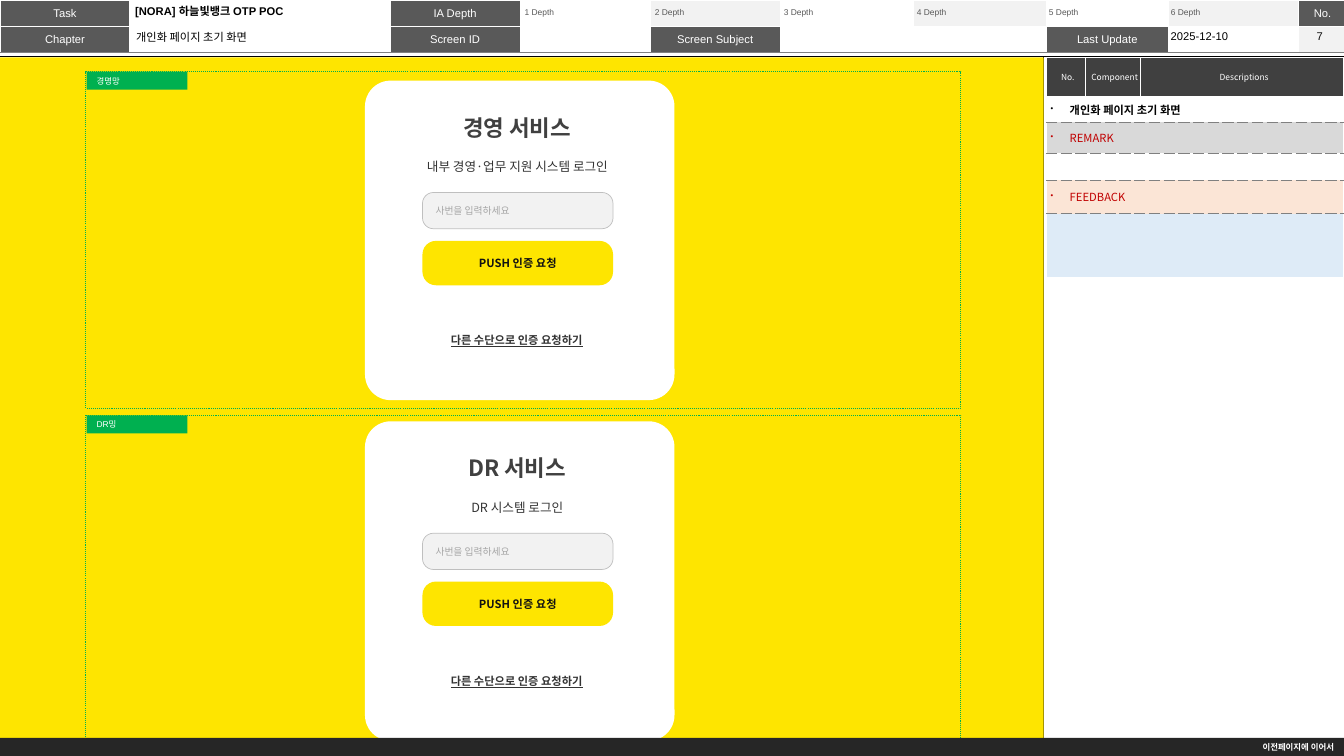
from dataclasses import dataclass
import pptx
import pptx.dml.color
import pptx.enum.dml
import pptx.enum.shapes
import pptx.enum.text
import pptx.oxml
import pptx.oxml.ns
import pptx.util
import lxml.etree

Inches = pptx.util.Inches
Pt = pptx.util.Pt
Align = pptx.enum.text.PP_ALIGN
Anchor = pptx.enum.text.MSO_ANCHOR
Shape = pptx.enum.shapes.MSO_SHAPE
qn = pptx.oxml.ns.qn
NOTO = "Noto Sans CJK KR"
GREY, YELLOW, GREEN = "595959", "FEE500", "00B050"


@dataclass
class Login:
    tag: str
    heading: str
    guide: str
    card_top: float
    frame_top: float


@dataclass
class Label:
    text: str
    left: float
    width: float = 0.4


@dataclass
class Note:
    text: str
    height: float
    fill: str | None = None
    color: str = "C00000"
    font: str = NOTO
    bold: bool = False


def rgb(value: str) -> pptx.dml.color.RGBColor:
    return pptx.dml.color.RGBColor.from_string(value)


def add_node(parent, tag: str, **attributes: str):
    return lxml.etree.SubElement(parent, qn(tag), attributes)


def write(frame, text, size=8, font="Arial", color="000000", bold=False, underline=False,
          align=Align.LEFT, anchor=Anchor.MIDDLE, wrap=True, inset=None, spacing=None):
    frame.word_wrap = wrap
    frame.auto_size = pptx.enum.text.MSO_AUTO_SIZE.NONE
    frame.vertical_anchor = anchor
    if inset is not None:
        frame.margin_left = frame.margin_right = Inches(inset)
        frame.margin_top = frame.margin_bottom = Inches(inset)
    paragraph = frame.paragraphs[0]
    paragraph.alignment = align
    paragraph.space_before = Pt(0)
    if spacing:
        paragraph.line_spacing = spacing
    run = paragraph.add_run()
    run.text = text
    run.font.size, run.font.name = Pt(size), font
    run.font.bold, run.font.underline = bold, underline
    run.font.color.rgb = rgb(color)
    add_node(run._r.get_or_add_rPr(), "a:ea", typeface=NOTO)
    return paragraph


def add_box(slide, kind, left, top, width, height, fill=None, line=None, line_width=0.5,
            dash=None, radius=None):
    box = slide.shapes.add_shape(kind, Inches(left), Inches(top), Inches(width), Inches(height))
    box.shadow.inherit = False
    if radius is not None:
        box.adjustments[0] = radius
    if fill:
        box.fill.solid()
        box.fill.fore_color.rgb = rgb(fill)
    else:
        box.fill.background()
    if line:
        box.line.color.rgb = rgb(line)
        box.line.width = Pt(line_width)
        box.line.dash_style = dash
    else:
        box.line.fill.background()
    return box


def add_text(slide, text, left, top, width, height, **style):
    box = slide.shapes.add_textbox(Inches(left), Inches(top), Inches(width), Inches(height))
    write(box.text_frame, text, **style)


def add_rule(slide, x1: float, y1: float, x2: float, y2: float) -> None:
    rule = slide.shapes.add_connector(pptx.enum.shapes.MSO_CONNECTOR.STRAIGHT,
                                      Inches(x1), Inches(y1), Inches(x2), Inches(y2))
    rule.line.color.rgb = rgb("000000")
    rule.line.width = Pt(0.5)
    add_node(rule._element.spPr, "a:effectLst")


def add_grid(slide, left: float, top: float, columns: list[float], rows: list[float]):
    grid = slide.shapes.add_table(len(rows), len(columns), Inches(left), Inches(top),
                                  Inches(sum(columns)), Inches(sum(rows))).table
    grid.first_row = grid.horz_banding = False
    for column, width in zip(grid.columns, columns):
        column.width = Inches(width)
    for row, height in zip(grid.rows, rows):
        row.height = Inches(height)
    return grid


def fill_cell(cell, fill, text, borders: dict[str, str], dash="solid", margin=0.0, **style):
    for side, color in borders.items():
        edge = add_node(cell._tc.get_or_add_tcPr(), f"a:ln{side}", w="3175")
        add_node(add_node(edge, "a:solidFill"), "a:srgbClr", val=color)
        add_node(edge, "a:prstDash", val=dash)
    if fill:
        cell.fill.solid()
        cell.fill.fore_color.rgb = rgb(fill)
    else:
        cell.fill.background()
    cell.margin_left = cell.margin_top = cell.margin_bottom = Inches(margin)
    cell.margin_right = 0
    cell.vertical_anchor = Anchor.MIDDLE
    if text:
        return write(cell.text_frame, text, **style)
    add_node(cell.text_frame.paragraphs[0]._p, "a:endParaRPr", sz="600")


def add_header(slide) -> None:
    captions = [{0: "Task", 3: "IA Depth", 10: "No."},
                {0: "Chapter", 3: "Screen ID", 5: "Screen Subject", 8: "Last Update"}]
    shaded = [{5, 7, 9}, {10}]
    grid = add_grid(slide, 0, 0, [1.29] * 6 + [1.32, 1.32, 1.21, 1.29, 0.48], [0.26, 0.26])
    for r, row_captions in enumerate(captions):
        for c in range(11):
            caption = row_captions.get(c)
            fill = GREY if caption else "F2F2F2" if c in shaded[r] else "FFFFFF"
            fill_cell(grid.cell(r, c), fill, caption, {"B": "808080"},
                      color="FFFFFF", align=Align.CENTER)
    add_rule(slide, 0, 0.56, 13.33, 0.56)
    add_rule(slide, 10.35, 7.5, 10.35, 0.56)
    add_text(slide, "7", 12.85, 0.24, 0.48, 0.23, color="0D0D0D", align=Align.CENTER)
    depths = [Label("1 Depth", 5.15), Label("2 Depth", 6.48, 0.32), Label("3 Depth", 7.72),
              Label("4 Depth", 9.04), Label("5 Depth", 10.35), Label("6 Depth", 11.56)]
    for depth in depths:
        add_text(slide, depth.text, depth.left, 0, depth.width, 0.24, size=6, color=GREY,
                 align=Align.CENTER, wrap=False)
    add_text(slide, "2025-12-10", 11.61, 0.27, 1.18, 0.19, inset=0, spacing=0.9)


def fill_placeholder(slide, placeholder, text: str, left: float, top: float, bold: bool) -> None:
    placeholder.left, placeholder.top = Inches(left), Inches(top)
    placeholder.width, placeholder.height = Inches(2.36), Inches(0.2)
    paragraph = write(placeholder.text_frame, text, bold=bold, inset=0, spacing=0.9)
    properties = paragraph._p.get_or_add_pPr()
    properties.set("marL", "0")
    properties.set("indent", "0")
    add_node(properties, "a:buNone")
    slide.shapes._spTree.append(placeholder._element)


def add_descriptions(slide) -> None:
    notes = [Note("개인화 페이지 초기 화면", 0.25, None, "000000", "Arial", True),
             Note("REMARK", 0.31, "D9D9D9"), Note("", 0.27),
             Note("FEEDBACK", 0.33, "FBE5D6"), Note("", 0.63, "DEEBF7")]
    grid = add_grid(slide, 10.38, 0.57, [0.38, 0.55, 2.02], [0.39] + [n.height for n in notes])
    for c, caption in enumerate(["No.", "Component", "Descriptions"]):
        borders = {"L": "FFFFFF"} if c else {}
        if c < 2:
            borders["R"] = "FFFFFF"
        fill_cell(grid.cell(0, c), "404040", caption, borders, margin=0.04, size=6,
                  font=NOTO, color="FFFFFF", align=Align.CENTER)
    for r, note in enumerate(notes, 1):
        borders = {"T": "808080"}
        if r < len(notes):
            borders["B"] = "808080"
        grid.cell(r, 0).merge(grid.cell(r, 2))
        for c in range(3):
            paragraph = fill_cell(grid.cell(r, c), note.fill, "" if c else note.text, borders,
                                  dash="sysDash", margin=0.04, font=note.font,
                                  color=note.color, bold=note.bold)
            if paragraph is not None:
                properties = paragraph._p.get_or_add_pPr()
                properties.set("marL", str(Inches(0.19)))
                properties.set("indent", str(-Inches(0.19)))
                add_node(properties, "a:buSzPct", val="70000")
                add_node(properties, "a:buChar", char="•")


def add_login(slide, login: Login) -> None:
    top = login.card_top
    add_box(slide, Shape.ROUNDED_RECTANGLE, 3.62, top, 3.07, 3.17, "FFFFFF", radius=0.083)
    centred = dict(font=NOTO, align=Align.CENTER, anchor=Anchor.TOP)
    add_text(slide, login.heading, 3.4, top + 0.28, 3.46, 0.37, size=16, color="404040",
             bold=True, **centred)
    add_text(slide, login.guide, 3.04, top + 0.73, 4.18, 0.25, size=9, color="333333", **centred)
    button = add_box(slide, Shape.ROUNDED_RECTANGLE, 4.19, top + 1.59, 1.89, 0.44, YELLOW,
                     radius=0.302)
    write(button.text_frame, "PUSH 인증 요청", font=NOTO, color="111111", bold=True,
          align=Align.CENTER)
    entry = add_box(slide, Shape.ROUNDED_RECTANGLE, 4.19, top + 1.11, 1.89, 0.36, "F2F2F2",
                    "BFBFBF", radius=0.302)
    write(entry.text_frame, "사번을 입력하세요", size=7, font=NOTO, color="A6A6A6")
    add_text(slide, "다른 수단으로 인증 요청하기", 4.32, top + 2.46, 1.61, 0.24,
             color="333333", bold=True, underline=True, **centred)
    add_box(slide, Shape.RECTANGLE, 0.85, login.frame_top, 8.68, 3.34, line=GREEN,
            line_width=0.75, dash=pptx.enum.dml.MSO_LINE.ROUND_DOT)
    tag = add_box(slide, Shape.RECTANGLE, 0.86, login.frame_top, 1, 0.18, GREEN)
    write(tag.text_frame, login.tag, size=6, color="FFFFFF", wrap=False)


def main() -> None:
    deck = pptx.Presentation()
    deck.slide_width, deck.slide_height = Inches(13.33), Inches(7.5)
    slide = deck.slides.add_slide(deck.slide_layouts[1])
    task, chapter = slide.shapes.title, slide.placeholders[1]
    add_header(slide)
    add_box(slide, Shape.RECTANGLE, 0, 0.57, 10.35, 6.93, YELLOW)
    fill_placeholder(slide, task, "[NORA] 하늘빛뱅크 OTP POC", 1.34, 0.02, True)
    fill_placeholder(slide, chapter, "개인화 페이지 초기 화면", 1.35, 0.28, False)
    add_descriptions(slide)
    for login in [Login("경명망", "경영 서비스", "내부 경영·업무 지원 시스템 로그인", 0.8, 0.71),
                  Login("DR밍", "DR 서비스", "DR 시스템 로그인", 4.18, 4.12)]:
        add_login(slide, login)
    footer = add_box(slide, Shape.RECTANGLE, 0, 7.32, 13.33, 0.18, "262626")
    write(footer.text_frame, "이전페이지에 이어서", size=6, color="FFFFFF", bold=True,
          align=Align.RIGHT, wrap=False)
    deck.save("out.pptx")


if __name__ == "__main__":
    main()
